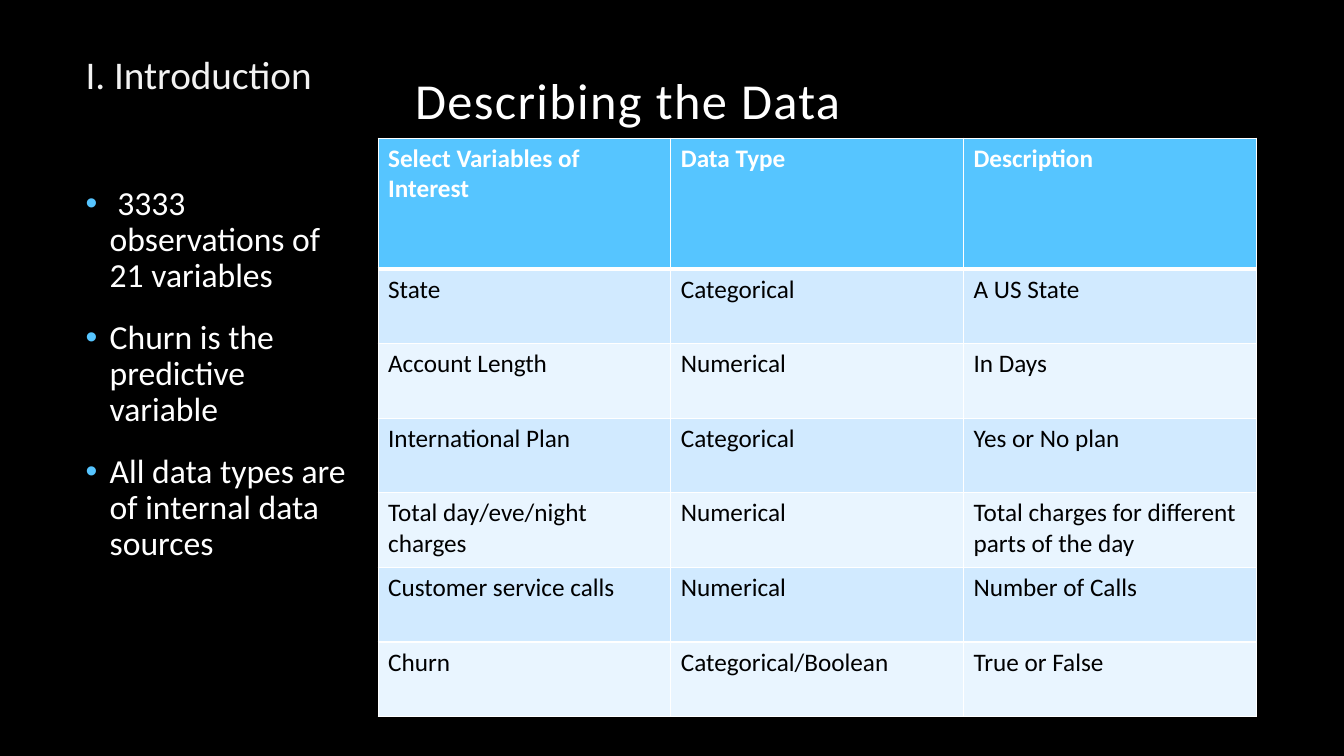
from lxml import etree
from pptx import Presentation
from pptx.dml.color import RGBColor
from pptx.enum.text import MSO_ANCHOR, PP_ALIGN
from pptx.oxml.ns import qn
from pptx.util import Inches, Pt

BOTTOM = MSO_ANCHOR.BOTTOM
CENTER = PP_ALIGN.CENTER
WHITE, BLACK, ACCENT = "FFFFFF", "000000", "56C5FF"
BANDS = ["D1EAFF", "E9F5FF"]


def rgb(value):
    return RGBColor.from_string(value)


def style(p, size, color, bold=False):
    for r in p.runs:
        r.font.name = "Calibri"
        r.font.size = Pt(size)
        r.font.bold = bold
        r.font.color.rgb = rgb(color)


prs = Presentation()
prs.slide_width, prs.slide_height = Inches(13.33), Inches(7.5)
s = prs.slides.add_slide(prs.slide_layouts[6])
s.background.fill.solid()
s.background.fill.fore_color.rgb = rgb(BLACK)

# Title
title = s.shapes.add_textbox(Inches(1.63), Inches(0.67), Inches(9.2), Inches(0.67))
tf = title.text_frame
tf.word_wrap = True
tf.vertical_anchor = BOTTOM
p = tf.paragraphs[0]
p.text = "Describing the Data"
p.alignment = CENTER
p.line_spacing = 0.9
style(p, 36, WHITE)
p.runs[0].font._element.set("spc", "100")

# Section label
section = s.shapes.add_textbox(Inches(0.75), Inches(0.45), Inches(2.5), Inches(0.57))
tf = section.text_frame
tf.word_wrap = True
tf.text = "I. Introduction"
style(tf.paragraphs[0], 28, "F2F2F2")

# Bullets
bullets = [
    " 3333 observations of 21 variables",
    "Churn is the predictive variable",
    "All data types are of internal data sources",
]
body = s.shapes.add_textbox(Inches(0.75), Inches(1.8), Inches(2.83), Inches(4.2))
tf = body.text_frame
tf.word_wrap = True
for i, text in enumerate(bullets):
    p = tf.add_paragraph() if i else tf.paragraphs[0]
    p.text = text
    pPr = p._p.get_or_add_pPr()
    pPr.set("marL", str(Inches(0.24)))
    pPr.set("indent", str(-Inches(0.24)))
    color = etree.SubElement(pPr, qn("a:buClr"))
    etree.SubElement(color, qn("a:srgbClr"), val=ACCENT)
    etree.SubElement(pPr, qn("a:buFont"), typeface="Arial")
    etree.SubElement(pPr, qn("a:buChar"), char="•")
    p.line_spacing = 0.9
    if i:
        p.space_before = Pt(18)
    style(p, 24, WHITE)

# Table of variables
rows = [
    ["Select Variables of Interest", "Data Type", "Description"],
    ["State", "Categorical", "A US State"],
    ["Account Length", "Numerical", "In Days"],
    ["International Plan", "Categorical", "Yes or No plan"],
    ["Total day/eve/night charges", "Numerical", "Total charges for different parts of the day"],
    ["Customer service calls", "Numerical", "Number of Calls"],
    ["Churn", "Categorical/Boolean", "True or False"],
]
table = s.shapes.add_table(len(rows), 3, Inches(3.75), Inches(1.37),
                           Inches(8.71), Inches(5.74)).table
for column in table.columns:
    column.width = Inches(8.71 / 3)
for i, row in enumerate(rows):
    header = i == 0
    table.rows[i].height = Inches(1.3 if header else 0.74)
    for j, text in enumerate(row):
        cell = table.cell(i, j)
        cell.text = text
        style(cell.text_frame.paragraphs[0], 18, WHITE if header else BLACK, header)
        tcPr = cell._tc.get_or_add_tcPr()
        for side in "LRTB":
            under_header = (i, side) in [(0, "B"), (1, "T")]
            ln = etree.SubElement(tcPr, qn("a:ln" + side), w=str(Pt(3 if under_header else 1)))
            line_fill = etree.SubElement(ln, qn("a:solidFill"))
            etree.SubElement(line_fill, qn("a:srgbClr"), val=WHITE)
        cell.fill.solid()
        cell.fill.fore_color.rgb = rgb(ACCENT if header else BANDS[(i - 1) % 2])

prs.save("out.pptx")
